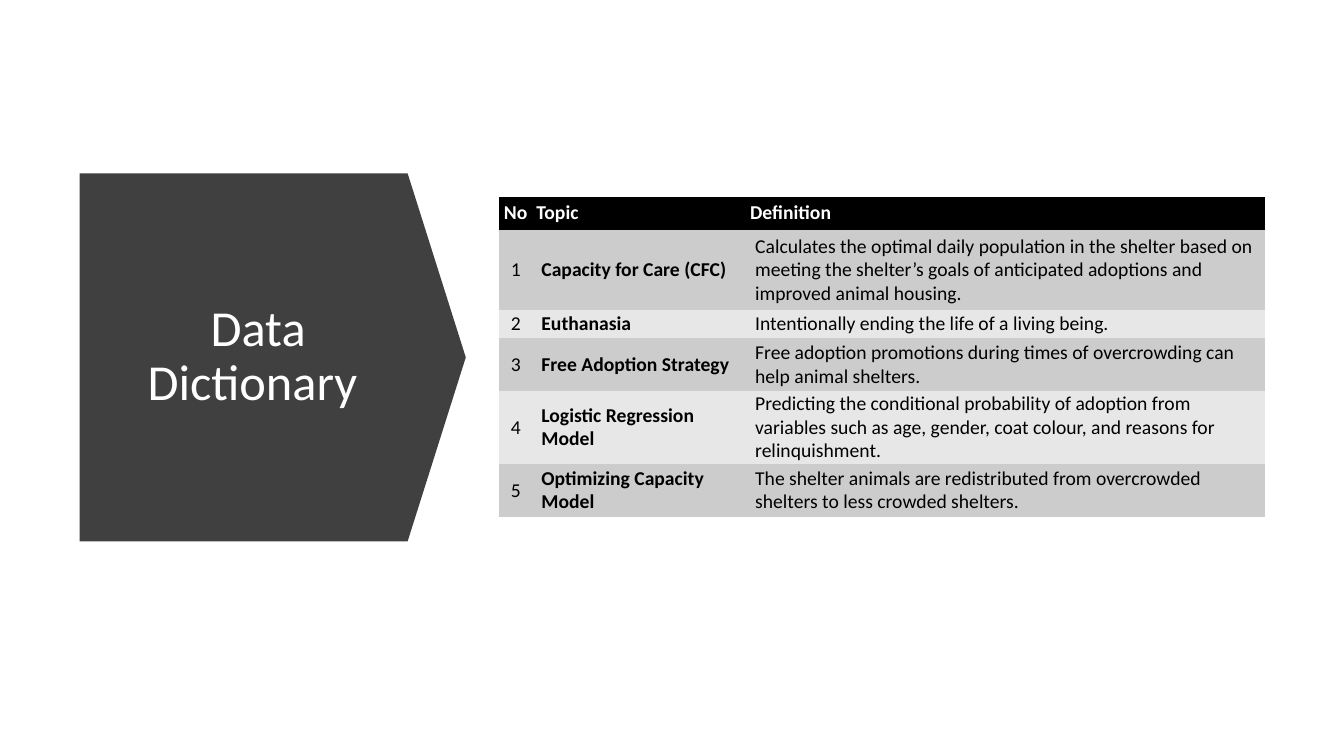
from dataclasses import dataclass

from pptx import Presentation
from pptx.dml.color import RGBColor
from pptx.enum.shapes import MSO_SHAPE
from pptx.enum.text import MSO_ANCHOR, PP_ALIGN
from pptx.oxml.ns import qn
from pptx.util import Inches, Pt

DOWN_ARROW = MSO_SHAPE.DOWN_ARROW
MIDDLE = MSO_ANCHOR.MIDDLE
CENTER, LEFT = PP_ALIGN.CENTER, PP_ALIGN.LEFT
NO_TABLE_STYLE = "{2D5ABB26-0587-4C30-8999-92F81FD0307C}"


@dataclass(frozen=True)
class Theme:
    font: str = "Calibri"
    title_size: int = 36
    table_size: int = 14
    arrow: str = "404040"
    header: str = "000000"
    bands: tuple = ("CCCCCC", "E7E7E7")
    light: str = "FFFFFF"
    dark: str = "000000"


THEME = Theme()

HEADER = ("No", "Topic", "Definition")
TERMS = [
    ("Capacity for Care (CFC)",
     "Calculates the optimal daily population in the shelter based on meeting "
     "the shelter’s goals of anticipated adoptions and improved animal housing."),
    ("Euthanasia", "Intentionally ending the life of a living being."),
    ("Free Adoption Strategy",
     "Free adoption promotions during times of overcrowding can help animal shelters."),
    ("Logistic Regression Model",
     "Predicting the conditional probability of adoption from variables such as "
     "age, gender, coat colour, and reasons for relinquishment."),
    ("Optimizing Capacity Model",
     "The shelter animals are redistributed from overcrowded shelters to less "
     "crowded shelters."),
]
COL_WIDTHS = (0.33, 2.12, 5.15)
ROW_HEIGHTS = (0.33, 0.8, 0.27, 0.53, 0.72, 0.53)
HEADER_INDENT, BODY_INDENT = 0.04, 0.09


def style_paragraph(p, size, color, bold=False, align=LEFT):
    p.alignment = align
    p.font.name = THEME.font
    p.font.size = Pt(size)
    p.font.bold = bold
    p.font.color.rgb = RGBColor.from_string(color)


def add_arrow(s, left, top, width, height):
    sp = s.shapes.add_shape(DOWN_ARROW, Inches(left), Inches(top),
                            Inches(width), Inches(height))
    sp.rotation = 270
    sp.adjustments[0] = 1
    sp.adjustments[1] = 0.158
    sp.shadow.inherit = False
    sp.fill.solid()
    sp.fill.fore_color.rgb = RGBColor.from_string(THEME.arrow)
    sp.line.fill.background()


def add_title(s, text, left, top, width, height):
    sp = s.shapes.add_textbox(Inches(left), Inches(top), Inches(width), Inches(height))
    tf = sp.text_frame
    tf.word_wrap = True
    tf.vertical_anchor = MIDDLE
    p = tf.paragraphs[0]
    p.text = text
    p.line_spacing = 0.9
    style_paragraph(p, THEME.title_size, THEME.light, align=CENTER)


def fill_cell(cell, text, fill, color, bold, align, indent):
    cell.margin_left = cell.margin_right = cell.margin_top = cell.margin_bottom = 0
    cell.vertical_anchor = MIDDLE
    cell.fill.solid()
    cell.fill.fore_color.rgb = RGBColor.from_string(fill)
    p = cell.text_frame.paragraphs[0]
    p.text = text
    p._p.get_or_add_pPr().set("marL", str(Inches(indent)))
    style_paragraph(p, THEME.table_size, color, bold, align)


def add_dictionary(s, left, top):
    rows = [HEADER] + [(str(n), *term) for n, term in enumerate(TERMS, 1)]
    frame = s.shapes.add_table(len(rows), len(HEADER), Inches(left), Inches(top),
                               Inches(sum(COL_WIDTHS)), Inches(sum(ROW_HEIGHTS)))
    table = frame.table
    table._tbl.tblPr.find(qn("a:tableStyleId")).text = NO_TABLE_STYLE
    for column, width in zip(table.columns, COL_WIDTHS):
        column.width = Inches(width)
    for i, (values, height) in enumerate(zip(rows, ROW_HEIGHTS)):
        table.rows[i].height = Inches(height)
        is_header = i == 0
        fill = THEME.header if is_header else THEME.bands[(i - 1) % 2]
        color = THEME.light if is_header else THEME.dark
        text_indent = HEADER_INDENT if is_header else BODY_INDENT
        for j, text in enumerate(values):
            fill_cell(table.cell(i, j), text, fill, color,
                      bold=is_header or j == 1,
                      align=CENTER if j == 0 else LEFT,
                      indent=0 if j == 0 else text_indent)


def main():
    prs = Presentation()
    prs.slide_width, prs.slide_height = Inches(13.33), Inches(7.5)
    s = prs.slides.add_slide(prs.slide_layouts[6])
    add_arrow(s, 0.88, 1.63, 3.65, 3.83)
    add_title(s, "Data Dictionary ", 1.12, 2.15, 2.88, 2.79)
    add_dictionary(s, 4.95, 1.95)
    prs.save("out.pptx")


if __name__ == "__main__":
    main()
